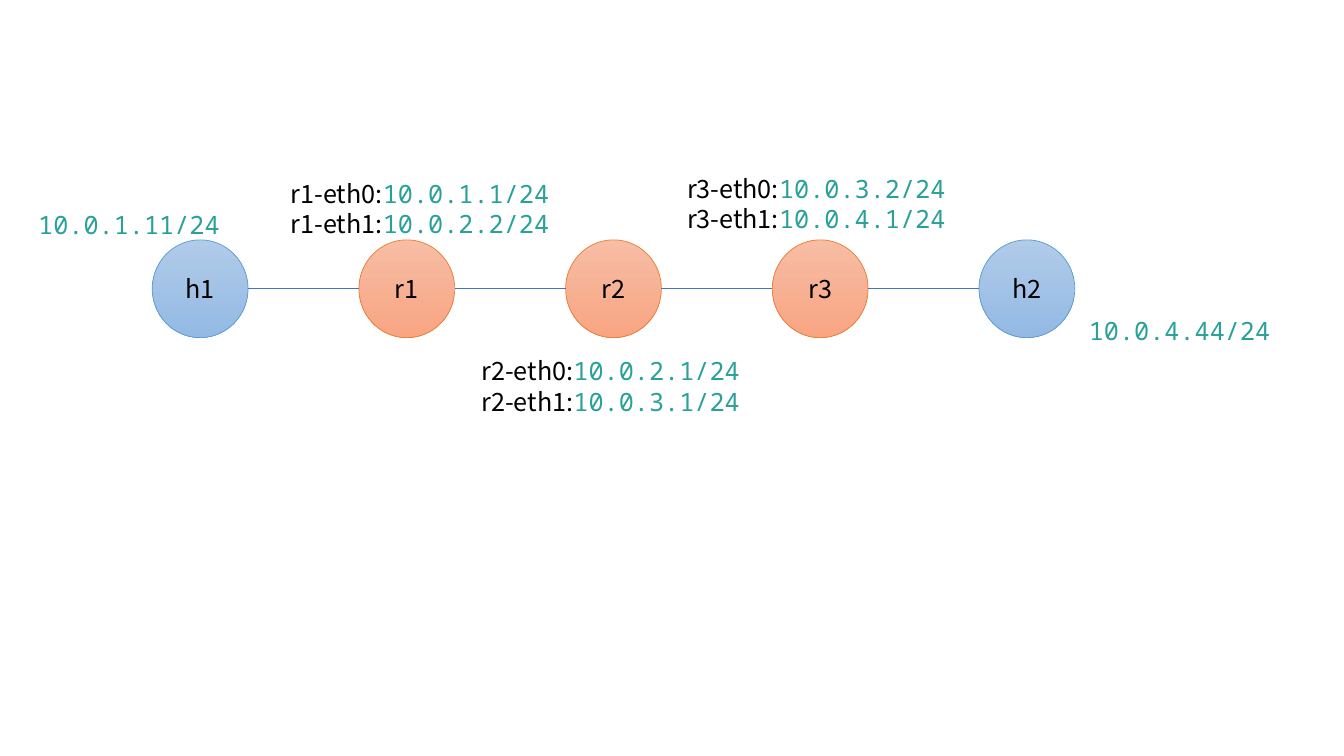
from lxml.etree import SubElement
from pptx import Presentation
from pptx.dml.color import RGBColor
from pptx.enum.shapes import MSO_CONNECTOR as CONNECTOR, MSO_SHAPE as SHAPE
from pptx.enum.text import MSO_ANCHOR as ANCHOR, MSO_AUTO_SIZE as AUTO_SIZE, PP_ALIGN as ALIGN
from pptx.oxml.ns import qn
from pptx.util import Inches, Pt

BLACK = RGBColor(0x00, 0x00, 0x00)
TEAL = RGBColor(0x2A, 0xA1, 0x98)
LINK_BLUE = RGBColor(0x44, 0x72, 0xC4)
# Gradient top, gradient bottom, outline
HOST = (RGBColor(0xB1, 0xCB, 0xE9), RGBColor(0x93, 0xB9, 0xE4), RGBColor(0x5B, 0x9B, 0xD5))
ROUTER = (RGBColor(0xF7, 0xBD, 0xA5), RGBColor(0xF8, 0xA5, 0x82), RGBColor(0xED, 0x7D, 0x31))

NAME_FONT = {"name": "Noto Sans CJK SC", "size": Pt(18)}
ADDRESS_FONT = {"name": "Noto Sans Mono", "size": Pt(18)}

NODES = [("h1", HOST), ("r1", ROUTER), ("r2", ROUTER), ("r3", ROUTER), ("h2", HOST)]
NODE_W, NODE_H, PITCH = 0.95, 0.97, 2.05

# Left, top, width, then one (interface, address) pair per line
LABELS = [
    (0.28, 2.03, 2.31, [("", "10.0.1.11/24")]),
    (2.73, 1.72, 2.92, [(" r1-eth0:", "10.0.1.1/24"), (" r1-eth1:", "10.0.2.2/24")]),
    (4.62, 3.48, 2.92, [(" r2-eth0:", "10.0.2.1/24"), (" r2-eth1:", "10.0.3.1/24")]),
    (6.66, 1.67, 2.92, [(" r3-eth0:", "10.0.3.2/24"), (" r3-eth1:", "10.0.4.1/24")]),
    (10.7, 3.08, 2.32, [("", "10.0.4.44/24")]),
]


def add_run(p, text, font, color):
    r = p.add_run()
    r.text = text
    for key, value in font.items():
        setattr(r.font, key, value)
    r.font.color.rgb = color


def add_node(slide, left, top, name, colors):
    sp = slide.shapes.add_shape(SHAPE.OVAL, Inches(left), Inches(top),
                                Inches(NODE_W), Inches(NODE_H))
    sp.shadow.inherit = False
    *stop_colors, outline = colors
    sp.fill.gradient()
    sp.fill.gradient_angle = 270
    for stop, color in zip(sp.fill.gradient_stops, stop_colors):
        stop.color.rgb = color
    sp.line.color.rgb = outline
    sp.line.width = Pt(0.5)
    tf = sp.text_frame
    tf.vertical_anchor = ANCHOR.MIDDLE
    p = tf.paragraphs[0]
    p.alignment = ALIGN.CENTER
    add_run(p, name, NAME_FONT, BLACK)


def add_link(slide, left, right, y):
    link = slide.shapes.add_connector(CONNECTOR.STRAIGHT, Inches(left), Inches(y),
                                      Inches(right), Inches(y))
    link.line.color.rgb = LINK_BLUE
    link.line.width = Pt(0.5)
    SubElement(link._element.spPr, qn("a:effectLst"))


def add_chain(slide, left, top):
    """Draw the nodes at an equal pitch, with a link between neighbours."""
    for i, (name, colors) in enumerate(NODES):
        x = left + i * PITCH
        add_node(slide, x, top, name, colors)
        if i:
            add_link(slide, x - PITCH + NODE_W, x, top + NODE_H / 2)


def add_label(slide, left, top, width, lines):
    height = 0.1 + 0.3 * len(lines)
    tf = slide.shapes.add_textbox(Inches(left), Inches(top),
                                  Inches(width), Inches(height)).text_frame
    tf.word_wrap = True
    tf.auto_size = AUTO_SIZE.SHAPE_TO_FIT_TEXT
    for i, (interface, address) in enumerate(lines):
        p = tf.add_paragraph() if i else tf.paragraphs[0]
        if interface:
            add_run(p, interface, NAME_FONT, BLACK)
        add_run(p, address, ADDRESS_FONT, TEAL)


def main():
    prs = Presentation()
    prs.slide_width, prs.slide_height = Inches(13.33), Inches(7.5)
    slide = prs.slides.add_slide(prs.slide_layouts[6])
    add_chain(slide, 1.51, 2.38)
    for label in LABELS:
        add_label(slide, *label)
    prs.save("out.pptx")


if __name__ == "__main__":
    main()
